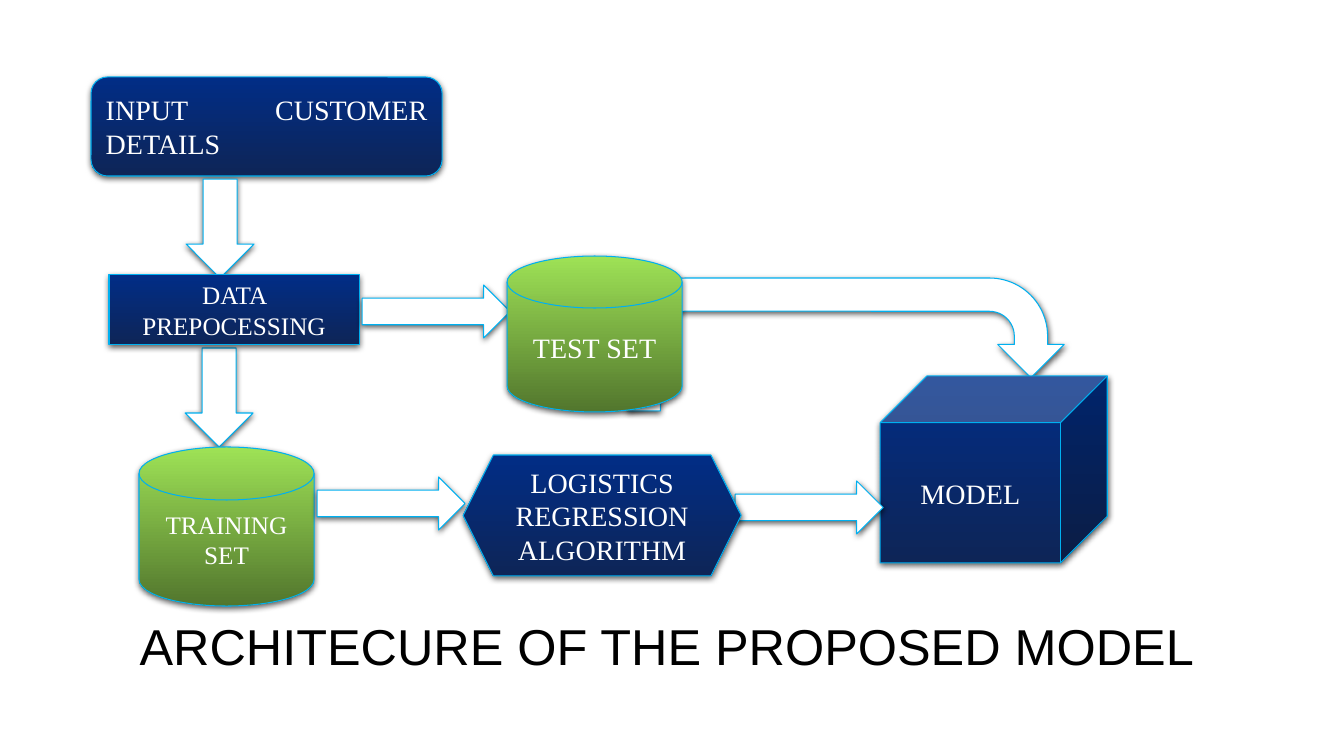
"""Build the flow diagram slide of the proposed customer model."""
from lxml import etree
from pptx import Presentation
from pptx import util as u
from pptx.dml.color import RGBColor
from pptx.enum import shapes, text
from pptx.oxml import ns

WHITE = RGBColor(0xFF, 0xFF, 0xFF)
BLACK = RGBColor(0, 0, 0)
OUTLINE = RGBColor(0x00, 0xB0, 0xF0)
NAVY = (RGBColor(0x01, 0x2D, 0x86), RGBColor(0x0E, 0x25, 0x57))
GREEN = (RGBColor(0x9E, 0xE2, 0x56), RGBColor(0x52, 0x76, 0x2D))
EMU_PER_PIXEL = 914400 / 100.8
KIND = shapes.MSO_SHAPE
ALIGN = text.PP_ALIGN


class Diagram:
    """Hold the style and the current slide."""

    body_font = "Times New Roman"
    title_font = "Arial"
    shadow = {"blurRad": u.Pt(4.5), "dist": u.Pt(1.5), "dir": 90 * 60000,
              "algn": "ctr", "rotWithShape": 0}
    shadow_alpha = 63000

    def __init__(self, slide):
        self.slide = slide

    def lengths(self, box):
        return [round(pixels * EMU_PER_PIXEL) for pixels in box]

    def label(self, frame, words, font, align=ALIGN.CENTER):
        frame.text = words
        frame.word_wrap = True
        frame.vertical_anchor = text.MSO_ANCHOR.MIDDLE
        for paragraph in frame.paragraphs:
            paragraph.alignment = align
            for run in paragraph.runs:
                run.font.color.rgb = font["color"]
                for key in ("name", "size"):
                    setattr(run.font, key, font[key])

    def outlined(self, kind, box):
        shape = self.slide.shapes.add_shape(kind, *self.lengths(box))
        shape.line.color.rgb = OUTLINE
        shape.line.width = u.Pt(0.75)
        shape.shadow.inherit = False
        effects = shape.element.spPr.find(ns.qn("a:effectLst"))
        outer = etree.SubElement(effects, ns.qn("a:outerShdw"))
        for key, value in self.shadow.items():
            outer.set(key, str(value))
        color = etree.SubElement(outer, ns.qn("a:srgbClr"), val="000000")
        etree.SubElement(color, ns.qn("a:alpha"), val=str(self.shadow_alpha))
        return shape

    def arrow(self, kind, box):
        arrow = self.outlined(kind, box)
        arrow.fill.solid()
        arrow.fill.fore_color.rgb = WHITE

    def step(self, kind, box, words, colors=NAVY, size=20, align=ALIGN.CENTER):
        step = self.outlined(kind, box)
        step.fill.gradient()
        step.fill.gradient_angle = 270
        for stop, color in zip(step.fill.gradient_stops, colors):
            stop.color.rgb = color
        font = {"name": self.body_font, "size": u.Pt(size), "color": WHITE}
        self.label(step.text_frame, words, font, align)

    def title(self, box, words):
        title = self.slide.shapes.add_textbox(*self.lengths(box))
        font = {"name": self.title_font, "size": u.Pt(36), "color": BLACK}
        self.label(title.text_frame, words, font)


deck = Presentation()
deck.slide_width, deck.slide_height = u.Inches(13.33), u.Inches(7.5)
diagram = Diagram(deck.slides.add_slide(deck.slide_layouts[6]))

diagram.title((62, 586, 1210, 119), "ARCHITECURE OF THE PROPOSED MODEL")
diagram.arrow(KIND.U_TURN_ARROW, (627, 278, 437, 133))
diagram.step(KIND.ROUNDED_RECTANGLE, (91, 77, 351, 99),
             "INPUT CUSTOMER DETAILS", align=ALIGN.JUSTIFY)
for left, top in ((186, 179), (185, 348)):
    diagram.arrow(KIND.DOWN_ARROW, (left, top, 68, 99))
diagram.step(KIND.RECTANGLE, (109, 275, 250, 70), "DATA PREPOCESSING", size=18)
diagram.step(KIND.FLOWCHART_MAGNETIC_DISK, (139, 447, 175, 159),
             "TRAINING SET", GREEN, 18)
for left, top in ((362, 285), (317, 477)):
    diagram.arrow(KIND.RIGHT_ARROW, (left, top, 148, 53))
diagram.step(KIND.FLOWCHART_MAGNETIC_DISK, (507, 256, 175, 156),
             "TEST SET", GREEN)
diagram.step(KIND.CUBE, (880, 376, 227, 187), "MODEL")
diagram.arrow(KIND.RIGHT_ARROW, (735, 481, 148, 53))
diagram.step(KIND.HEXAGON, (463, 455, 278, 121),
             "LOGISTICS REGRESSION\nALGORITHM")

deck.save("out.pptx")
